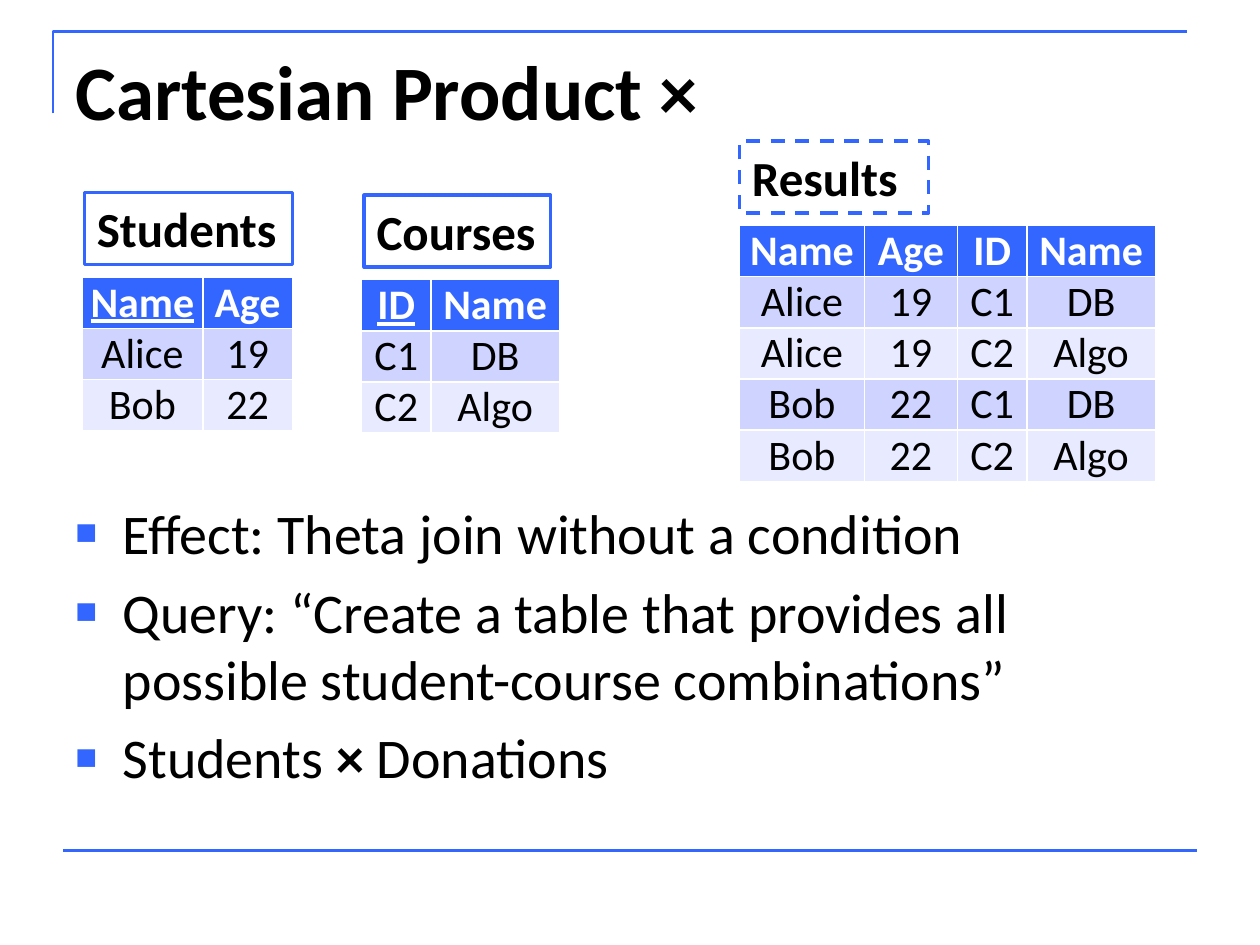
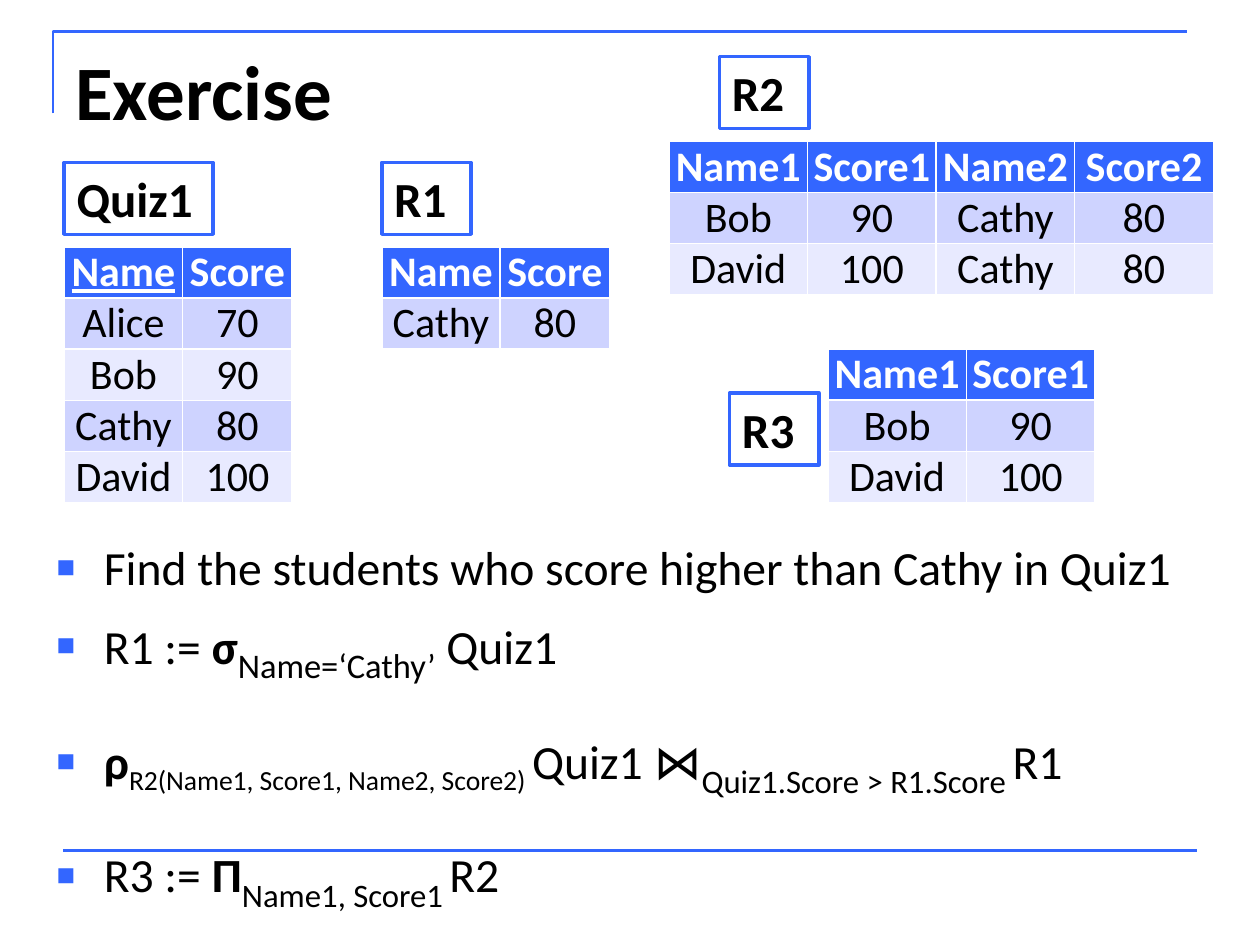
import dataclasses

import lxml.etree
import pptx
import pptx.dml.color
import pptx.enum.dml
import pptx.enum.shapes
import pptx.enum.text
import pptx.oxml.ns
import pptx.util


@dataclasses.dataclass(frozen=True)
class Theme:
    """Colours, font and type sizes shared by the slides."""
    blue: str = "3366FF"
    ink: str = "000000"
    white: str = "FFFFFF"
    bands: tuple = ("CED3FF", "E8EAFF")
    font: str = "Calibri"
    title: float = 44
    label: float = 28
    cell: float = 24
    body: float = 32
    small: float = 27.2
    rule: float = 1.5
    edge: float = 2


LOOK = Theme()
COLS, ROWS = 100, 75
WIDE, HIGH = pptx.util.Inches(10), pptx.util.Inches(7.5)
LINE, LABEL, LIFT, INDENT = 4.06, 5.7, 6.7, 3.75
ALIGN = pptx.enum.text.PP_ALIGN
ANCHOR = pptx.enum.text.MSO_ANCHOR
FIT = pptx.enum.text.MSO_AUTO_SIZE


def across(cols):
    """Turn grid columns into a length."""
    return int(WIDE * cols / COLS)


def down(rows):
    """Turn grid rows into a length."""
    return int(HIGH * rows / ROWS)


def area(left, top, wide, high):
    """Turn a grid box into four lengths."""
    return across(left), down(top), across(wide), down(high)


def tint(code):
    """Give the colour for a hex code."""
    return pptx.dml.color.RGBColor.from_string(code)


def node(parent, tag, **attrs):
    """Add a drawing element to a parent."""
    return lxml.etree.SubElement(parent, pptx.oxml.ns.qn("a:" + tag), attrs)


def write(para, text, size=LOOK.body, color=LOOK.ink, bold=False, under=False, base=0):
    """Add one formatted run to a paragraph."""
    run = para.add_run()
    run.text = text
    font = run.font
    font.name, font.size = LOOK.font, pptx.util.Pt(size)
    font.bold, font.underline = bold, under
    font.color.rgb = tint(color)
    if base:
        run._r.get_or_add_rPr().set("baseline", str(base * 1000))


def stroke(line, width, dash=False):
    """Style an outline in the accent colour."""
    line.color.rgb = tint(LOOK.blue)
    line.width = pptx.util.Pt(width)
    if dash:
        line.dash_style = pptx.enum.dml.MSO_LINE.DASH


def frame(slide, left, top, wide, high):
    """Draw the corner rule and the foot rule within a box."""
    form = slide.shapes.build_freeform(across(left), down(top + high * 0.1))
    form.add_line_segments(
        [(across(left), down(top)), (across(left + 90), down(top))], close=False)
    bend = form.convert_to_shape()
    bend.shadow.inherit = False
    bend.fill.background()
    stroke(bend.line, LOOK.rule)
    foot = down(top + high)
    rule = slide.shapes.add_connector(
        pptx.enum.shapes.MSO_CONNECTOR.STRAIGHT,
        across(left + wide - 90), foot, across(left + wide), foot)
    stroke(rule.line, LOOK.rule)
    node(rule._element.spPr, "effectLst")


def panel(slide, box):
    """Add a wrapping text box and return its text frame."""
    text = slide.shapes.add_textbox(*area(*box)).text_frame
    text.word_wrap = True
    text.vertical_anchor = ANCHOR.TOP
    return text


def head(slide, box, text):
    """Write the slide title."""
    write(panel(slide, box).paragraphs[0], text, size=LOOK.title, bold=True)


def points(slide, box, items, size):
    """Write bullets, each given as space before and runs."""
    text = panel(slide, box)
    for rank, (space, runs) in enumerate(items):
        para = text.add_paragraph() if rank else text.paragraphs[0]
        para.space_before = pptx.util.Pt(space)
        props = para._p.get_or_add_pPr()
        props.set("marL", str(across(INDENT)))
        props.set("indent", str(-across(INDENT)))
        node(node(props, "buClr"), "srgbClr", val=LOOK.blue)
        node(props, "buSzPct", val="65000")
        node(props, "buFont", typeface="Arial")
        node(props, "buChar", char="■")
        for part, form in runs:
            write(para, part, **{"size": size, **form})


def label(slide, left, top, wide, text, dash=False):
    """Draw a name in an outlined box."""
    tag = slide.shapes.add_shape(
        pptx.enum.shapes.MSO_SHAPE.RECTANGLE, *area(left, top, wide, LABEL))
    tag.shadow.inherit = False
    tag.fill.background()
    stroke(tag.line, LOOK.edge, dash)
    body = tag.text_frame
    body.word_wrap, body.auto_size = True, FIT.SHAPE_TO_FIT_TEXT
    body.vertical_anchor = ANCHOR.TOP
    para = body.paragraphs[0]
    para.alignment = ALIGN.LEFT
    write(para, text, size=LOOK.label, bold=True)


def grid(slide, left, top, widths, rows, key):
    """Draw a banded table, with its key column underlined."""
    box = area(left, top, sum(widths), LINE * len(rows))
    table = slide.shapes.add_table(len(rows), len(widths), *box).table
    for col, wide in zip(table.columns, widths):
        col.width = across(wide)
    for y, row in enumerate(rows):
        table.rows[y].height = down(LINE)
        for x, text in enumerate(row.split()):
            cell = table.cell(y, x)
            cell.margin_left = cell.margin_right = 0
            cell.margin_top = cell.margin_bottom = 0
            cell.fill.solid()
            cell.fill.fore_color.rgb = tint(LOOK.bands[(y - 1) % 2] if y else LOOK.blue)
            para = cell.text_frame.paragraphs[0]
            para.alignment = ALIGN.CENTER
            write(para, text, size=LOOK.cell, bold=y == 0, under=y == 0 and x == key,
                  color=LOOK.ink if y else LOOK.white)


def relate(slide, left, top, name, wide, widths, rows,
           shift=(0, -LIFT), key=None, dash=False):
    """Place a table and its label, which is set off from the table."""
    grid(slide, left, top, widths, rows, key)
    label(slide, left + shift[0], top + shift[1], wide, name, dash)


def page(deck, title, body, items, size, tables):
    """Build one slide from its title, bullets and tables."""
    slide = deck.slides.add_slide(deck.slide_layouts[6])
    frame(slide, 4.2, 2.5, 90.8, 65)
    head(slide, (5, 3, 90, 12.5), title)
    points(slide, body, items, size)
    for table in tables:
        relate(slide, **table)


STRONG = {"bold": True}
SUB = {"size": 32.3, "base": -25}
NEAR, FAR = LOOK.small * 0.2, 21

PRODUCT = [
    dict(left=6.5, top=22, name="Students", wide=16.5, widths=(9.6, 7.1), key=0,
         shift=(0.2, -LIFT), rows=("Name Age", "Alice 19", "Bob 22")),
    dict(left=28.7, top=22.2, name="Courses", wide=14.8, widths=(5.5, 10.2), key=0,
         shift=(0.2, -LIFT), rows=("ID Name", "C1 DB", "C2 Algo")),
    dict(left=58.7, top=17.9, name="Results", wide=15, widths=(9.9, 7.4, 5.5, 10.2),
         dash=True, rows=("Name Age ID Name", "Alice 19 C1 DB", "Alice 19 C2 Algo",
                          "Bob 22 C1 DB", "Bob 22 C2 Algo")),
]
EFFECT = [
    (LOOK.body * 0.2, [("Effect: Theta join without a condition", {})]),
    (LOOK.body * 0.2, [("Query: “Create a table that provides all possible "
                        "student-course combinations”", {})]),
    (LOOK.body * 0.2, [("Students ", {}), ("×", STRONG), (" Donations", {})]),
]
QUIZ = [
    dict(left=5.1, top=19.6, name="Quiz1", wide=11.8, widths=(9.4, 8.7), key=0,
         rows=("Name Score", "Alice 70", "Bob 90", "Cathy 80", "David 100")),
    dict(left=30.3, top=19.6, name="R1", wide=7.1, widths=(9.4, 8.7),
         rows=("Name Score", "Cathy 80")),
    dict(left=53.1, top=11.2, name="R2", wide=7.1, widths=(11, 10.2, 11, 11),
         shift=(4, -LIFT), rows=("Name1 Score1 Name2 Score2", "Bob 90 Cathy 80",
                                 "David 100 Cathy 80")),
    dict(left=65.7, top=27.7, name="R3", wide=7.1, widths=(11, 10.2),
         shift=(-7.8, 3.5), rows=("Name1 Score1", "Bob 90", "David 100")),
]
STEPS = [
    (NEAR, [("Find the students who score higher than Cathy in Quiz1", {})]),
    (NEAR, [("R1 := ", {}), ("σ", STRONG),
            ("Name=‘Cathy’", {"size": 34, "base": -25}), (" Quiz1", {})]),
    (FAR, [("ρ", STRONG), ("R2(Name1, Score1, Name2, Score2) ", {"base": -25}),
           ("Quiz1 ⋈", {}), ("Quiz1.Score > R1.Score", SUB),
           (" ", {"base": -25}), ("R1", {})]),
    (FAR, [("R3 := ", {}), ("Π", STRONG), ("Name1, Score1", SUB),
           (" ", {"base": -25}), ("R2", {})]),
]

deck = pptx.Presentation()
deck.slide_width, deck.slide_height = WIDE, HIGH
page(deck, "Cartesian Product ×", (5, 39.1, 90, 28), EFFECT, LOOK.body, PRODUCT)
page(deck, "Exercise", (3.5, 42.2, 93.8, 24.8), STEPS, LOOK.small, QUIZ)
deck.save("out.pptx")
